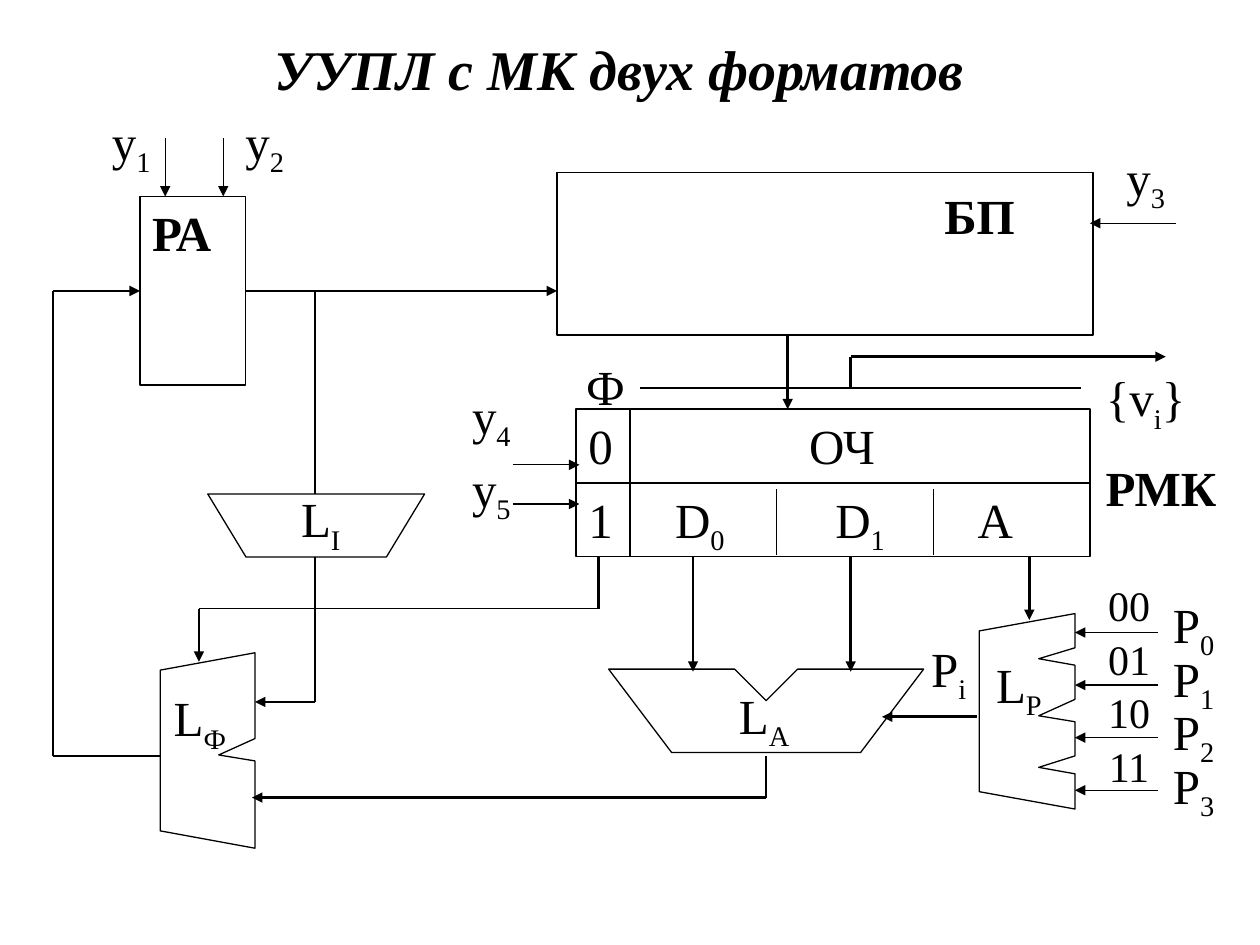
from dataclasses import dataclass

from lxml import etree
from pptx import Presentation
from pptx.dml.color import RGBColor
from pptx.enum.shapes import MSO_CONNECTOR, MSO_SHAPE
from pptx.enum.text import MSO_ANCHOR, PP_ALIGN
from pptx.oxml.ns import qn
from pptx.util import Cm, Pt

STRAIGHT = MSO_CONNECTOR.STRAIGHT
RECTANGLE = MSO_SHAPE.RECTANGLE
LEFT, CENTER = PP_ALIGN.LEFT, PP_ALIGN.CENTER
TOP, MIDDLE = MSO_ANCHOR.TOP, MSO_ANCHOR.MIDDLE
LEFT_SIDE, RIGHT_SIDE = 1, 3


@dataclass(frozen=True)
class Theme:
    font: str = "Times New Roman"
    ink: RGBColor = RGBColor(0, 0, 0)
    title_size: int = 32
    text_size: int = 28
    code_size: int = 24
    thin: float = 0.75
    outline: float = 1
    bus: float = 1.5


@dataclass(frozen=True)
class Box:
    """A region in centimetres."""
    left: float
    top: float
    width: float
    height: float

    def at(self, x, y):
        return self.left + x, self.top + y

    @property
    def right(self):
        return self.left + self.width

    @property
    def bottom(self):
        return self.top + self.height

    @property
    def middle(self):
        return self.top + self.height / 2


THEME = Theme()
LABEL_HEIGHT = 1.37


def write(frame, parts, size=THEME.text_size, bold=False, italic=False,
          align=CENTER, anchor=TOP, tabs=()):
    """Write the parts as runs; every second part is a subscript."""
    frame.word_wrap = True
    frame.vertical_anchor = anchor
    paragraph = frame.paragraphs[0]
    paragraph.alignment = align
    if tabs:
        tab_list = etree.SubElement(paragraph._p.get_or_add_pPr(), qn("a:tabLst"))
        for position in tabs:
            etree.SubElement(tab_list, qn("a:tab"), pos=str(Cm(position)), algn="l")
    for index, part in enumerate(parts):
        run = paragraph.add_run()
        run.text = part
        font = run.font
        font.name, font.size = THEME.font, Pt(size)
        font.bold, font.italic = bold, italic
        font.color.rgb = THEME.ink
        if index % 2:
            font._element.set("baseline", "-25000")


def add_label(slide, position, width, *parts, **style):
    x, y = position
    text_box = slide.shapes.add_textbox(Cm(x), Cm(y), Cm(width), Cm(LABEL_HEIGHT))
    write(text_box.text_frame, parts, **style)


def draw_outline(shape, weight):
    shape.shadow.inherit = False
    shape.fill.background()
    shape.line.color.rgb = THEME.ink
    shape.line.width = Pt(weight)
    return shape


def add_block(slide, box):
    shape = slide.shapes.add_shape(
        RECTANGLE, Cm(box.left), Cm(box.top), Cm(box.width), Cm(box.height))
    return draw_outline(shape, THEME.outline)


def add_polygon(slide, box, points):
    corners = [tuple(Cm(value) for value in box.at(*point)) for point in points]
    builder = slide.shapes.build_freeform(*corners[0])
    builder.add_line_segments(corners[1:], close=True)
    draw_outline(builder.convert_to_shape(), THEME.thin)


def add_route(slide, points, weight=THEME.thin, arrow=True):
    """Join the points by straight lines, with an arrowhead at the last one."""
    connectors = []
    for start, end in zip(points, points[1:]):
        connector = slide.shapes.add_connector(
            STRAIGHT, *(Cm(value) for value in (*start, *end)))
        connector.line.color.rgb = THEME.ink
        connector.line.width = Pt(weight)
        connectors.append(connector)
    if arrow:
        etree.SubElement(connectors[-1].line._get_or_add_ln(),
                         qn("a:tailEnd"), type="triangle")
    for connector in connectors:
        etree.SubElement(connector._element.spPr, qn("a:effectLst"))
    return connectors


def place_title(slide, box):
    title = slide.shapes.title
    title.left, title.top = Cm(box.left), Cm(box.top)
    title.width, title.height = Cm(box.width), Cm(box.height)
    write(title.text_frame, ["УУПЛ с МК двух форматов"], THEME.title_size,
          bold=True, italic=True, anchor=MIDDLE)


def address_register(slide, box):
    block = add_block(slide, box)
    write(block.text_frame, ["РА"], bold=True, align=LEFT)
    for index, arrow_x, label_x in (("1", 0.51, -1.42), ("2", 1.68, 1.27)):
        add_route(slide, [box.at(arrow_x, -1.17), box.at(arrow_x, 0)])
        add_label(slide, box.at(label_x, -1.84), 2.49, "y", index)
    return block


def program_memory(slide, box):
    add_block(slide, box)
    add_label(slide, box.at(6.52, 0.13), 3.99, "БП", bold=True)
    add_route(slide, [box.at(12.47, 1.02), box.at(10.74, 1.02)])
    add_label(slide, box.at(10, -0.64), 3.73, "y", "3")


def command_register(slide, box):
    row_height = box.height / 2
    rows = ((["0\tОЧ"], [4.45]),
            (["1\tD", "0", "\tD", "1", "\tA"], [1.75, 4.98, 7.85]))
    for index, (parts, tabs) in enumerate(rows):
        row = Box(*box.at(0, index * row_height), box.width, row_height)
        write(add_block(slide, row).text_frame, parts, align=LEFT, tabs=tabs)
    # Field dividers
    for x, top, bottom in ((1.09, 0, box.height), (4.04, 1.61, 2.93), (7.21, 1.61, 2.93)):
        add_route(slide, [box.at(x, top), box.at(x, bottom)], arrow=False)
    # Control inputs
    for index, arrow_y, label_y in (("4", 1.12, -0.6), ("5", 1.91, 0.87)):
        add_route(slide, [box.at(-1.27, arrow_y), box.at(0.07, arrow_y)])
        add_label(slide, box.at(-2.95, label_y), 2.49, "y", index)
    add_label(slide, box.at(-1.27, -1.19), 3.73, "Ф")
    add_label(slide, box.at(9.8, 0.84), 3.99, "РМК", bold=True)
    # Output of the operation part
    add_route(slide, [box.at(1.29, -0.43), box.at(10.18, -0.43)], arrow=False)
    add_route(slide, [box.at(5.54, -0.43), box.at(5.54, -1.06), box.at(11.89, -1.06)],
              THEME.bus)
    add_label(slide, box.at(9.62, -0.96), 3.73, "{v", "i", "}")


def increment_logic(slide, box):
    inset = 0.77
    add_polygon(slide, box, [(0, 0), (box.width, 0), (box.width - inset, box.height),
                             (inset, box.height)])
    add_label(slide, box.at(0, -0.23), 4.55, "L", "I")


def adder_logic(slide, box):
    unit = box.width / 10
    add_polygon(slide, box, [(0, 0), (4 * unit, 0), (5 * unit, unit), (6 * unit, 0),
                             (box.width, 0), (8 * unit, box.height),
                             (2 * unit, box.height)])
    add_label(slide, box.at(2 * unit, 0.2), 3.73, "L", "A")


def selector(slide, box, notches, index, label_y):
    """A multiplexer whose right side is notched between its inputs."""
    slant, depth = 0.35, 0.73
    points = [(0, slant), (box.width, 0)]
    for top, tip, bottom in notches:
        points += [(box.width, top), (box.width - depth, tip), (box.width, bottom)]
    points += [(box.width, box.height), (0, box.height - slant)]
    add_polygon(slide, box, points)
    add_label(slide, box.at(-0.45, label_y), 2.5, "L", index)


def condition_inputs(slide, box):
    for number in range(4):
        y = 0.38 + 1.06 * number
        label_y = 1.08 * number
        add_route(slide, [box.at(3.6, y), box.at(box.width, y)])
        add_label(slide, box.at(2.99, label_y - 0.51), 2.66, "P", str(number))
        add_label(slide, box.at(1.66, label_y - 0.81), 2.72, f"{number:02b}",
                  size=THEME.code_size)


def buses(slide, register, register_block, memory, command, increment, adder,
          format_selector, condition_selector):
    # Address to memory, with a branch to the increment logic
    address = add_route(slide, [(register.right, register.middle),
                                (memory.left, register.middle)], THEME.bus)
    address[0].begin_connect(register_block, RIGHT_SIDE)
    branch_x = 6.35
    add_route(slide, [(branch_x, register.middle), (branch_x, increment.top)],
              THEME.bus, arrow=False)
    add_route(slide, [(branch_x, increment.bottom), (branch_x, 14.15),
                      (format_selector.right, 14.15)], THEME.bus)
    # Next address back to the register
    feedback = add_route(slide, [(format_selector.left, 15.24), (1.07, 15.24),
                                 (1.07, register.middle),
                                 (register.left, register.middle)], THEME.bus)
    feedback[-1].end_connect(register_block, LEFT_SIDE)
    # Memory to command register, and its fields to the logic below
    for x, top, bottom in ((15.88, memory.bottom, command.top),
                           (13.97, command.bottom, adder.top + 0.05),
                           (17.15, command.bottom, adder.top + 0.05),
                           (20.75, command.bottom, 12.5)):
        add_route(slide, [(x, top), (x, bottom)], THEME.bus)
    # Format bit
    add_route(slide, [(12.07, command.bottom), (12.07, 12.27)], THEME.bus, arrow=False)
    add_route(slide, [(12.07, 12.27), (4.01, 12.27), (4.01, 13.34)])
    # Selected condition and resulting address
    add_route(slide, [(condition_selector.left - 0.05, 14.45), (17.78, 14.45)], THEME.bus)
    add_label(slide, (17.93, 12.75), 2.39, "P", "i")
    add_route(slide, [(15.44, 15.24), (15.44, 16.08), (5.08, 16.08)], THEME.bus)


def main():
    presentation = Presentation()
    presentation.slide_width, presentation.slide_height = Cm(25.4), Cm(19.05)
    slide = presentation.slides.add_slide(presentation.slide_layouts[5])

    register = Box(2.82, 3.96, 2.13, 3.81)
    memory = Box(11.23, 3.48, 10.8, 3.28)
    command = Box(11.61, 8.25, 10.36, 2.97)
    increment = Box(4.19, 9.96, 4.37, 1.27)
    adder = Box(12.27, 13.49, 6.35, 1.68)
    format_selector = Box(3.23, 13.16, 1.91, 3.94)
    condition_selector = Box(19.74, 12.37, 1.93, 3.94)
    middle_notch = (1.73, 2.06, 2.18)

    place_title(slide, Box(1.7, 0.64, 21.59, 1.47))
    register_block = address_register(slide, register)
    program_memory(slide, memory)
    command_register(slide, command)
    increment_logic(slide, increment)
    adder_logic(slide, adder)
    selector(slide, format_selector, [middle_notch], "Ф", 0.58)
    selector(slide, condition_selector,
             [(0.69, 0.91, 1.04), middle_notch, (2.87, 3.1, 3.23)], "P", 0.69)
    condition_inputs(slide, condition_selector)
    buses(slide, register, register_block, memory, command, increment, adder,
          format_selector, condition_selector)
    presentation.save("out.pptx")


if __name__ == "__main__":
    main()
